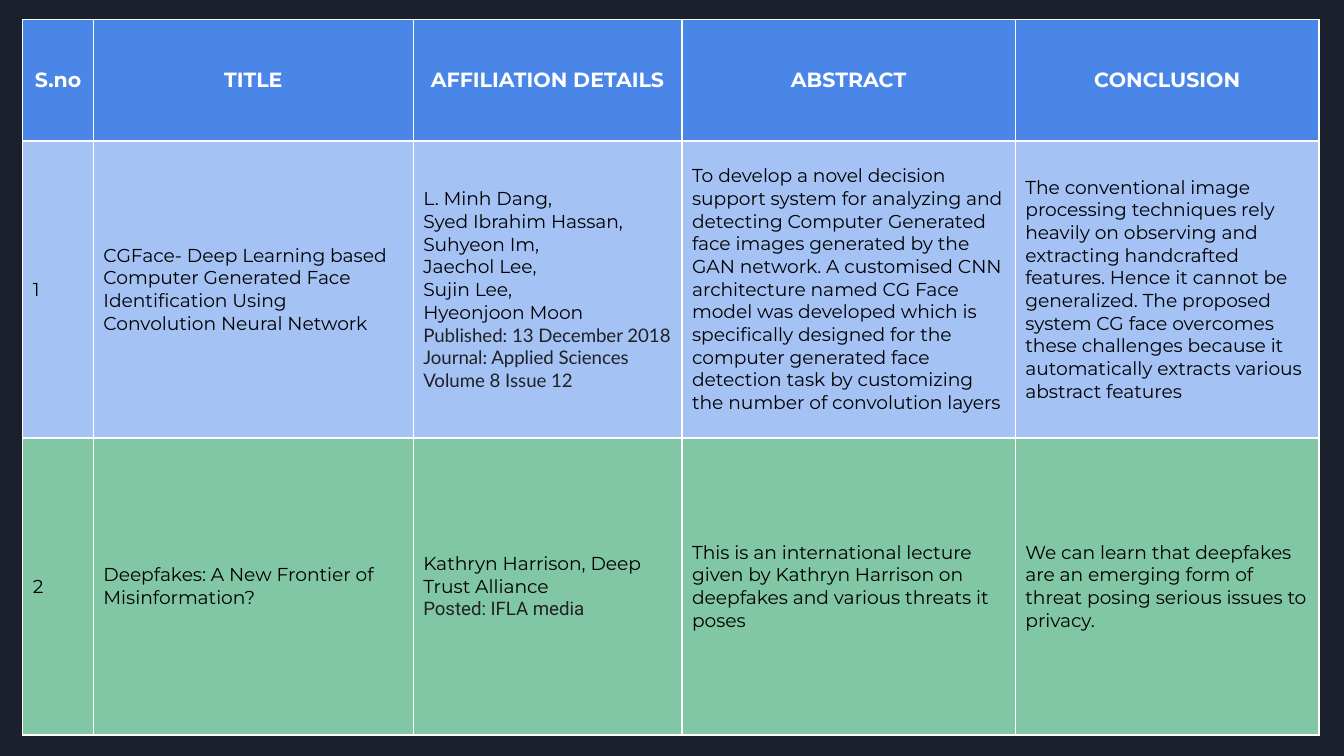
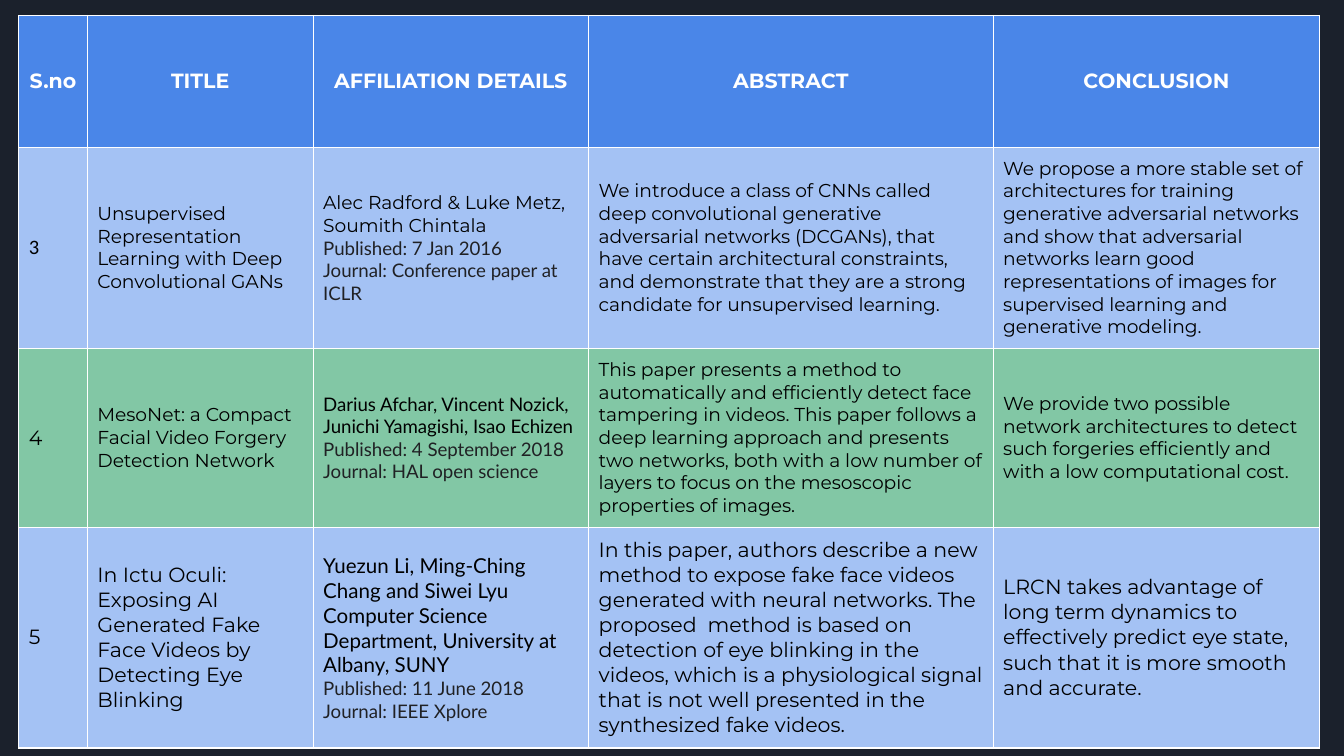
"""Builds two slides of literature survey tables."""
from copy import deepcopy
from dataclasses import dataclass

from lxml import etree
from pptx import Presentation
from pptx.dml.color import RGBColor
from pptx.enum.text import MSO_ANCHOR, PP_ALIGN
from pptx.oxml.ns import qn
from pptx.util import Pt

EMU_PER_PX = 4572
MIDDLE = MSO_ANCHOR.MIDDLE
LEFT = PP_ALIGN.LEFT
CENTER = PP_ALIGN.CENTER
NAVY = RGBColor(0x1B, 0x21, 0x2C)
WHITE = RGBColor(0xFF, 0xFF, 0xFF)
BLACK = RGBColor(0x00, 0x00, 0x00)
CHARCOAL = RGBColor(0x20, 0x21, 0x24)
BLUE = RGBColor(0x4A, 0x86, 0xE8)
PALE_BLUE = RGBColor(0xA4, 0xC2, 0xF4)
GREEN = RGBColor(0x82, 0xC7, 0xA5)
BORDER_WIDTH = Pt(0.75)
INSET = 15
HEADINGS = ("S.no", "TITLE", "AFFILIATION DETAILS", "ABSTRACT", "CONCLUSION")


@dataclass(frozen=True)
class Line:
    text: str
    size: int = 10
    font: str = "Montserrat"
    color: RGBColor = BLACK
    bold: bool = False
    align: PP_ALIGN = LEFT
    space_after: int = 0


@dataclass(frozen=True)
class Paper:
    number: Line
    title: Line
    affiliation: tuple[Line, ...]
    abstract: Line
    conclusion: Line

    def cells(self) -> list[tuple[Line, ...]]:
        return [(self.number,), (self.title,), self.affiliation, (self.abstract,), (self.conclusion,)]


@dataclass(frozen=True)
class Survey:
    left: int
    top: int
    columns: tuple[int, ...]
    rows: tuple[int, ...]
    papers: tuple[Paper, ...]


def px(length: int) -> int:
    return length * EMU_PER_PX


def source(text: str, font: str = "Lato", space_after: int = 0) -> Line:
    return Line(text, font=font, color=CHARCOAL, space_after=space_after)


def heading(text: str) -> Line:
    return Line(text, 11, color=WHITE, bold=True, align=CENTER)


SURVEYS = (
    Survey(34, 29, (105, 476, 400, 496, 452), (181, 442, 442), (
        Paper(
            Line("1"),
            Line("CGFace- Deep Learning based Computer Generated Face Identification Using "
                 "Convolution Neural Network"),
            (Line("L. Minh Dang,\vSyed Ibrahim Hassan,\vSuhyeon Im,\vJaechol Lee,\vSujin Lee,"),
             Line("Hyeonjoon Moon"),
             source("Published: 13 December 2018 Journal: Applied Sciences Volume 8 Issue 12")),
            Line("To develop a novel decision support system for analyzing and detecting Computer "
                 "Generated face images generated by the GAN network. A customised CNN architecture "
                 "named CG Face model was developed which is specifically designed for the computer "
                 "generated face detection task by customizing the number of convolution layers"),
            Line("The conventional image processing techniques rely heavily on observing and "
                 "extracting handcrafted features. Hence it cannot be generalized. The proposed "
                 "system CG face overcomes these challenges because it automatically extracts "
                 "various abstract features"),
        ),
        Paper(
            Line("2"),
            Line("Deepfakes: A New Frontier of Misinformation?"),
            (Line("Kathryn Harrison, Deep Trust Alliance"),
             source("Posted: IFLA media", "Roboto")),
            Line("This is an international lecture given by Kathryn Harrison on deepfakes and "
                 "various threats it poses"),
            Line("We can learn that deepfakes are an emerging form of threat posing serious issues "
                 "to privacy."),
        ),
    )),
    Survey(28, 23, (102, 336, 410, 602, 486), (196, 298, 264, 318), (
        Paper(
            Line("3", 11, "Calibri"),
            Line("Unsupervised Representation Learning with Deep Convolutional GANs"),
            (Line("Alec Radford & Luke Metz,"),
             Line("Soumith Chintala"),
             source("Published: 7 Jan 2016"),
             source("Journal: Conference paper at ICLR")),
            Line("We introduce a class of CNNs called deep convolutional generative adversarial "
                 "networks (DCGANs), that have certain architectural constraints, and demonstrate "
                 "that they are a strong candidate for unsupervised learning."),
            Line("We propose a more stable set of architectures for training generative adversarial "
                 "networks and show that adversarial networks learn good representations of images "
                 "for supervised learning and generative modeling."),
        ),
        Paper(
            Line("4", 11),
            Line("MesoNet: a Compact Facial Video Forgery Detection Network"),
            (Line("Darius Afchar, Vincent Nozick, Junichi Yamagishi, Isao Echizen", font="Lato"),
             source("Published: 4 September 2018 Journal: HAL open science")),
            Line("This paper presents a method to automatically and efficiently detect face "
                 "tampering in videos. This paper follows a deep learning approach and presents two "
                 "networks, both with a low number of layers to focus on the mesoscopic properties "
                 "of images."),
            Line("We provide two possible network architectures to detect such forgeries "
                 "efficiently and with a low computational cost."),
        ),
        Paper(
            Line("5", 11),
            Line("In Ictu Oculi: Exposing AI Generated Fake Face Videos by Detecting Eye Blinking",
                 11),
            (Line("Yuezun Li, Ming-Ching Chang and Siwei Lyu Computer Science Department, "
                  "University at Albany, SUNY", 11, "Lato"),
             source("Published: 11 June 2018"),
             source("Journal: IEEE Xplore", space_after=12)),
            Line("In this paper, authors describe a new method to expose fake face videos generated "
                 "with neural networks. The proposed  method is based on detection of eye blinking "
                 "in the videos, which is a physiological signal that is not well presented in the "
                 "synthesized fake videos.", 11),
            Line("LRCN takes advantage of long term dynamics to effectively predict eye state, such "
                 "that it is more smooth and accurate.", 11),
        ),
    )),
)


def write_line(para, line: Line) -> None:
    para.text = line.text
    para.alignment = line.align
    para.space_after = Pt(line.space_after)
    formats = {"name": line.font, "size": Pt(line.size), "bold": line.bold}
    for span in para.runs:
        for name, value in formats.items():
            setattr(span.font, name, value)
        span.font.color.rgb = line.color
    for line_break in para._p.findall(qn("a:br")):
        line_break.append(deepcopy(para.runs[0].font._element))


def draw_borders(cell) -> None:
    properties = cell._tc.get_or_add_tcPr()
    for index, side in enumerate(("a:lnL", "a:lnR", "a:lnT", "a:lnB")):
        border = etree.Element(qn(side), w=str(BORDER_WIDTH))
        paint = etree.SubElement(border, qn("a:solidFill"))
        etree.SubElement(paint, qn("a:srgbClr"), val=str(WHITE))
        properties.insert(index, border)


def fill_cell(cell, lines: tuple[Line, ...], color: RGBColor) -> None:
    formats = {"vertical_anchor": MIDDLE}
    formats |= {f"margin_{side}": px(INSET) for side in ("left", "right", "top", "bottom")}
    for name, value in formats.items():
        setattr(cell, name, value)
    cell.fill.solid()
    cell.fill.fore_color.rgb = color
    draw_borders(cell)
    frame = cell.text_frame
    for index, line in enumerate(lines):
        write_line(frame.add_paragraph() if index else frame.paragraphs[0], line)


def row_color(number: int) -> RGBColor:
    return PALE_BLUE if number % 2 else GREEN


def draw_survey(page, survey: Survey) -> None:
    table = page.shapes.add_table(
        len(survey.rows), len(survey.columns), px(survey.left), px(survey.top),
        px(sum(survey.columns)), px(sum(survey.rows))).table
    table.horz_banding = False
    for column, width in zip(table.columns, survey.columns):
        column.width = px(width)
    for row, height in zip(table.rows, survey.rows):
        row.height = px(height)
    contents = [(BLUE, [(heading(text),) for text in HEADINGS])]
    contents += [(row_color(int(paper.number.text)), paper.cells()) for paper in survey.papers]
    for row, (color, texts) in zip(table.rows, contents):
        for cell, lines in zip(row.cells, texts):
            fill_cell(cell, lines, color)


def main() -> None:
    deck = Presentation()
    deck.slide_width, deck.slide_height = px(2000), px(1125)
    for survey in SURVEYS:
        page = deck.slides.add_slide(deck.slide_layouts[6])
        page.background.fill.solid()
        page.background.fill.fore_color.rgb = NAVY
        draw_survey(page, survey)
    deck.save("out.pptx")


if __name__ == "__main__":
    main()
